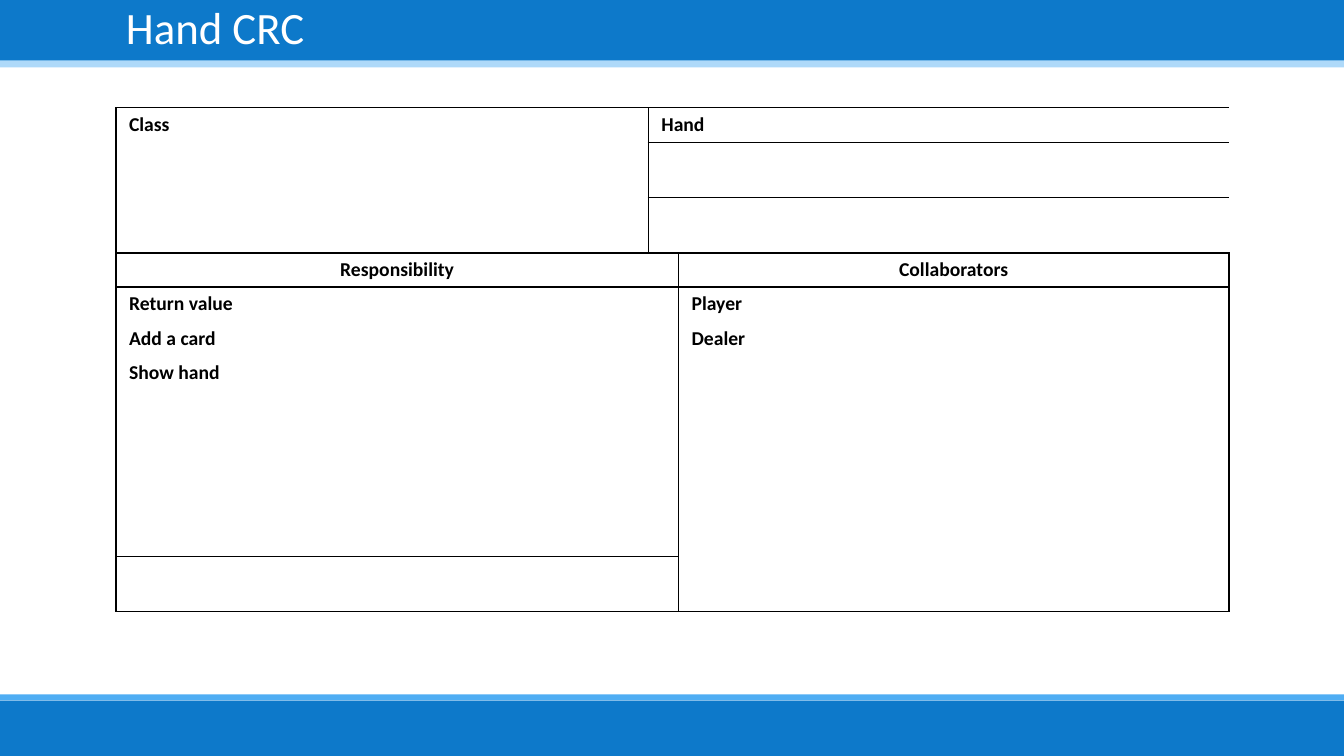
import pptx
import pptx.dml.color
import pptx.enum.shapes
import pptx.enum.text
import pptx.oxml
import pptx.oxml.ns
import pptx.util
from pptx.util import Inches

FONT = "Calibri"
BLACK, WHITE, BLUE = "000000", "FFFFFF", "0D79CA"
ALIGN = pptx.enum.text.PP_ALIGN
COLUMNS = [5.28, 0.28, 5.46]
ROWS = [0.34, 0.55, 0.55] + [0.34] * 4 + [0.55] * 4
HEADER_ROW = 3
# Outlined areas of the card: first row, first column, last row, last column
AREAS = [
    (0, 0, 2, 0), (0, 1, 0, 2), (1, 1, 1, 2), (2, 1, 2, 2),
    (3, 0, 3, 1), (3, 2, 3, 2),
    (4, 0, 9, 1), (4, 2, 10, 2), (10, 0, 10, 1),
]
TEXTS = {
    (0, 0): "Class", (0, 1): "Hand",
    (3, 0): "Responsibility", (3, 2): "Collaborators",
    (4, 0): "Return value", (4, 2): "Player",
    (5, 0): "Add a card", (5, 2): "Dealer",
    (6, 0): "Show hand",
}


def color(value):
    return pptx.dml.color.RGBColor.from_string(value)


def set_font(p, size, value, bold=False):
    p.font.name = FONT
    p.font.size = pptx.util.Pt(size)
    p.font.bold = bold
    p.font.color.rgb = color(value)


def add_bar(slide, left, top, width, height, fill, alpha=None):
    sp = slide.shapes.add_shape(
        pptx.enum.shapes.MSO_SHAPE.RECTANGLE,
        Inches(left), Inches(top), Inches(width), Inches(height))
    sp.shadow.inherit = False
    sp.line.fill.background()
    sp.fill.solid()
    sp.fill.fore_color.rgb = color(fill)
    if alpha is not None:
        clr = sp.fill._xPr.find(".//" + pptx.oxml.ns.qn("a:srgbClr"))
        clr.append(pptx.oxml.parse_xml(
            f'<a:alpha {pptx.oxml.ns.nsdecls("a")} val="{alpha * 1000}"/>'))


def add_title(slide, text):
    sp = slide.shapes.add_textbox(Inches(1.15), 0, Inches(11.02), Inches(0.6))
    tf = sp.text_frame
    tf.word_wrap = True
    tf.vertical_anchor = pptx.enum.text.MSO_ANCHOR.MIDDLE
    p = tf.paragraphs[0]
    p.text = text
    p.line_spacing = 0.9
    set_font(p, 32, WHITE)


def set_borders(cell, widths):
    """Set left, right, top and bottom widths in points; 0 hides a side."""
    tcPr = cell._tc.get_or_add_tcPr()
    for i, (side, width) in enumerate(zip("LRTB", widths)):
        fill = (f'<a:solidFill><a:srgbClr val="{BLACK}"/></a:solidFill>'
                if width else "<a:noFill/>")
        tcPr.insert(i, pptx.oxml.parse_xml(
            f'<a:ln{side} {pptx.oxml.ns.nsdecls("a")} '
            f'w="{pptx.util.Pt(width)}">{fill}</a:ln{side}>'))


def outline_area(table, top, left, bottom, right):
    """Draw lines around an area, heavier above and below the header row."""
    def row_line(boundary):
        return 1.5 if boundary in (HEADER_ROW, HEADER_ROW + 1) else 1

    side = 1.5 if top == HEADER_ROW else 1
    for r in range(top, bottom + 1):
        for c in range(left, right + 1):
            set_borders(table.cell(r, c), [
                side if c == left else 0,
                side if c == right else 0,
                row_line(r) if r == top else 0,
                row_line(r + 1) if r == bottom else 0,
            ])


def fill_cell(cell, text, align):
    cell.fill.background()
    cell.margin_left = cell.margin_right = Inches(0.13)
    cell.margin_top = cell.margin_bottom = Inches(0.05)
    p = cell.text_frame.paragraphs[0]
    p.text = text
    p.alignment = align
    set_font(p, 14, BLACK, bold=True)


def add_crc_card(slide):
    table = slide.shapes.add_table(
        len(ROWS), len(COLUMNS), Inches(1.15), Inches(1.07),
        Inches(sum(COLUMNS)), Inches(sum(ROWS))).table
    table.first_row = table.horz_banding = False
    for column, width in zip(table.columns, COLUMNS):
        column.width = Inches(width)
    for r, height in enumerate(ROWS):
        table.rows[r].height = Inches(height)
        align = ALIGN.CENTER if r == HEADER_ROW else ALIGN.JUSTIFY
        for c in range(len(COLUMNS)):
            fill_cell(table.cell(r, c), TEXTS.get((r, c), ""), align)
        first = 1 if r < HEADER_ROW else 0
        table.cell(r, first).merge(table.cell(r, first + 1))
    for area in AREAS:
        outline_area(table, *area)


def main():
    prs = pptx.Presentation()
    prs.slide_width, prs.slide_height = Inches(13.33), Inches(7.5)
    slide = prs.slides.add_slide(prs.slide_layouts[6])
    add_bar(slide, 0, 0, 13.33, 0.67, "8CC9F7", alpha=70)
    add_bar(slide, 0, 0, 13.33, 0.6, BLUE)
    add_bar(slide, 0, 6.89, 13.33, 0.06, "4FADF3")
    add_bar(slide, 0, 6.95, 13.33, 0.55, BLUE)
    add_title(slide, "Hand CRC")
    add_crc_card(slide)
    prs.save("out.pptx")


if __name__ == "__main__":
    main()
